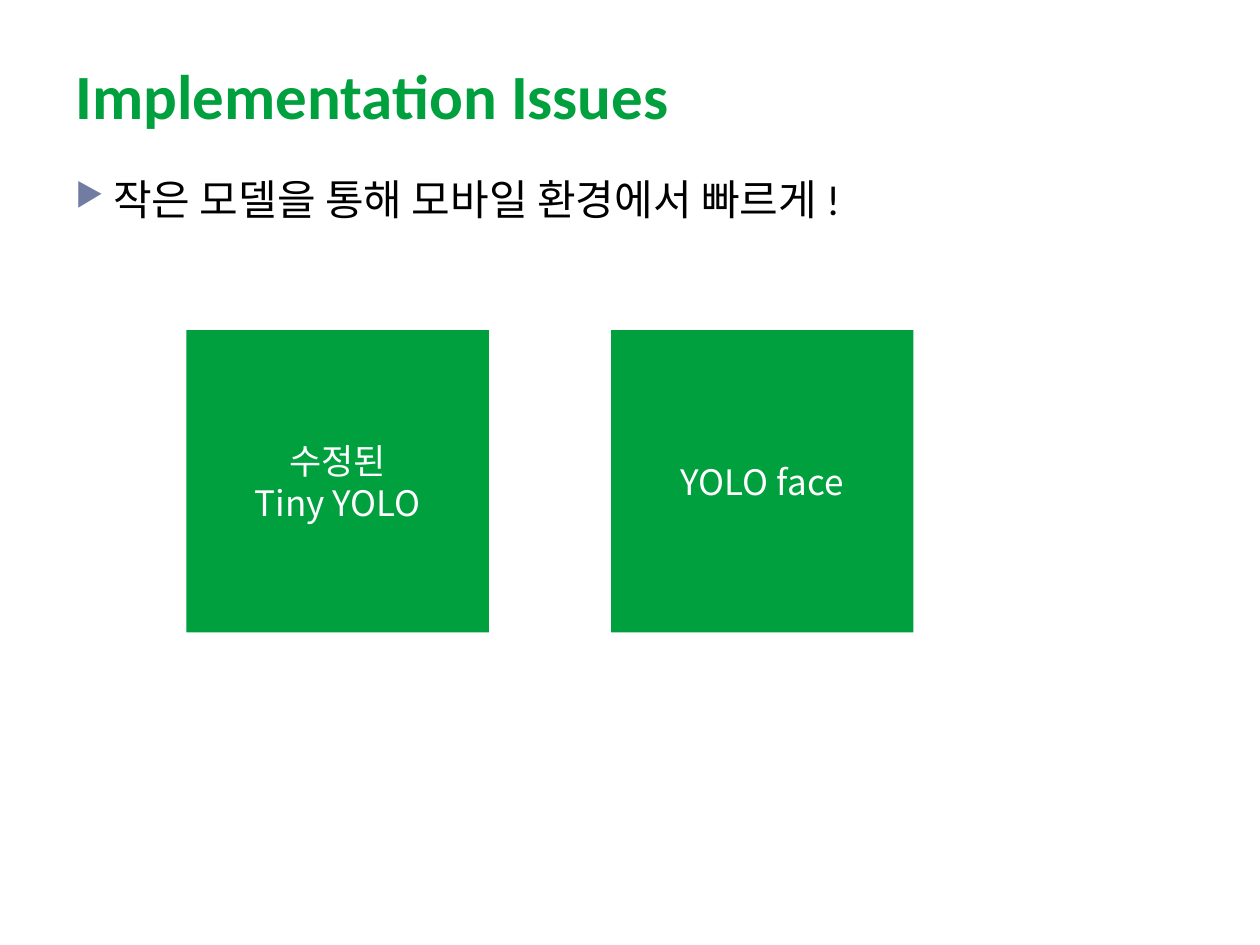
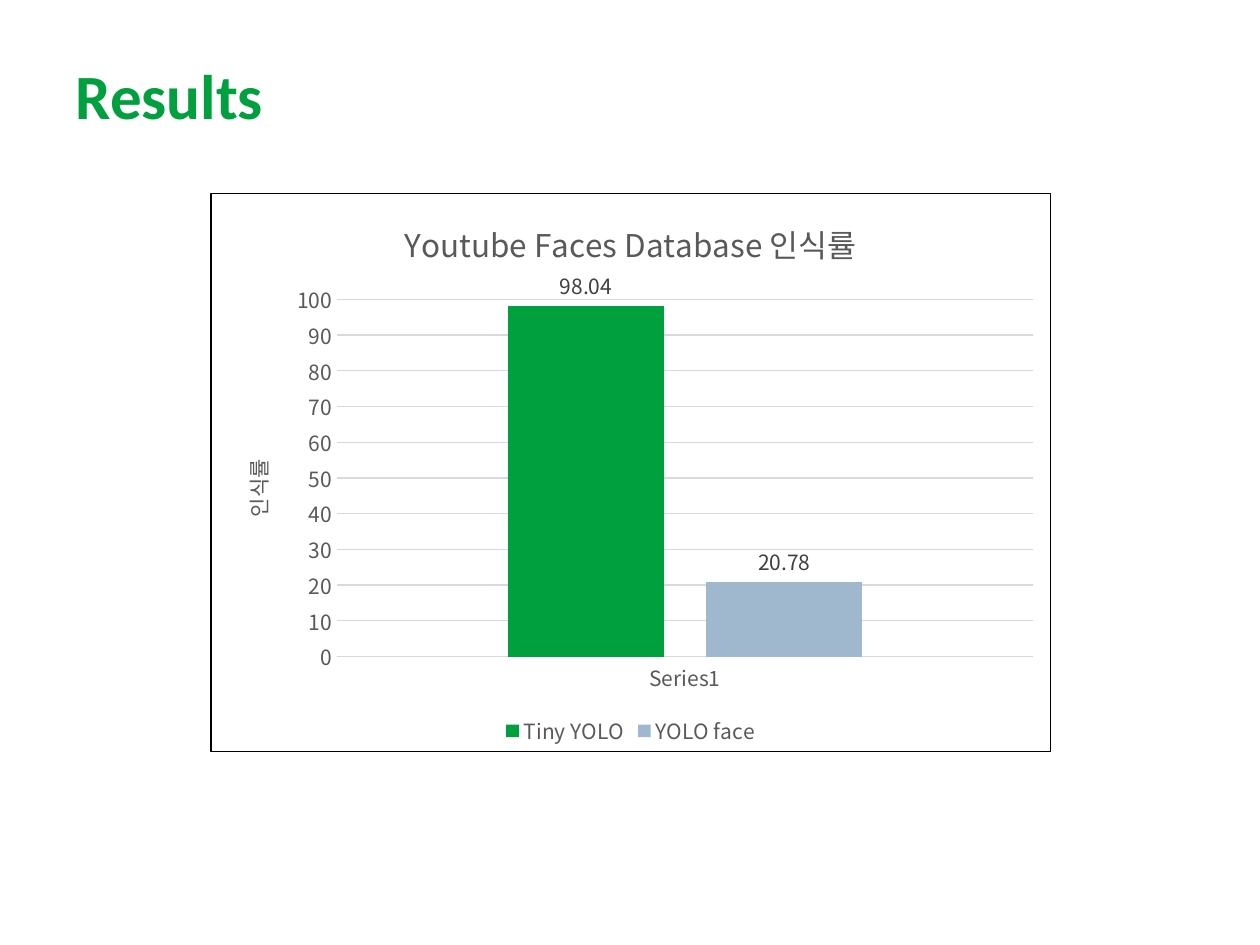
"""Build two slides on face recognition with small models."""
import pptx
import pptx.chart.data
import pptx.dml.color
import pptx.enum.chart
import pptx.enum.shapes
import pptx.enum.text
import pptx.oxml
import pptx.oxml.ns
import pptx.util
from lxml import etree

Inches = pptx.util.Inches
Pt = pptx.util.Pt
qn = pptx.oxml.ns.qn
PP_ALIGN = pptx.enum.text.PP_ALIGN
MSO_ANCHOR = pptx.enum.text.MSO_ANCHOR

COLORS = {
    "green": "00A03E",
    "blue": "9FB8CD",
    "bullet": "727CA3",
    "black": "000000",
    "white": "FFFFFF",
    "axis_text": "595959",
    "label_text": "404040",
    "grid": "D9D9D9",
}
KOREAN_FONT = "Noto Sans CJK KR"
TITLE_FORMAT = {"name": "Calibri", "size": Pt(36), "bold": True}
BODY_FORMAT = {"name": "Calibri", "size": Pt(24), "bold": False}
BOX_FORMAT = {"name": KOREAN_FONT, "size": Pt(20), "bold": False}
CHART_TITLE_FORMAT = {"name": KOREAN_FONT, "size": Pt(18), "bold": False}
CHART_FORMAT = {"name": KOREAN_FONT, "size": Pt(12), "bold": False}


def rgb(color):
    return pptx.dml.color.RGBColor.from_string(COLORS[color])


def format_font(font, values, color):
    for name, value in values.items():
        setattr(font, name, value)
    font.color.rgb = rgb(color)


presentation = pptx.Presentation()
presentation.slide_width = Inches(10)
presentation.slide_height = Inches(7.5)

slides = []
for title_text in ["Implementation Issues", "Results"]:
    slide = presentation.slides.add_slide(presentation.slide_layouts[5])
    title = slide.shapes.title
    title.left, title.top = Inches(0.5), Inches(0.39)
    title.width, title.height = Inches(9), Inches(0.71)
    title.text_frame.text = title_text
    title.text_frame.auto_size = pptx.enum.text.MSO_AUTO_SIZE.NONE
    title.text_frame.vertical_anchor = MSO_ANCHOR.BOTTOM
    paragraph = title.text_frame.paragraphs[0]
    paragraph.alignment = PP_ALIGN.LEFT
    format_font(paragraph.runs[0].font, TITLE_FORMAT, "green")
    slides.append(slide)
issues_slide, results_slide = slides

body = issues_slide.shapes.add_textbox(Inches(0.5), Inches(1.33), Inches(9), Inches(0.78))
body.text_frame.word_wrap = True
paragraph = body.text_frame.paragraphs[0]
properties = paragraph._p.get_or_add_pPr()
properties.set("marL", str(Inches(0.3)))
properties.set("indent", str(Inches(-0.3)))
bullet_color = etree.SubElement(properties, qn("a:buClr"))
etree.SubElement(bullet_color, qn("a:srgbClr"), val=COLORS["bullet"])
etree.SubElement(properties, qn("a:buSzPct"), val="76000")
etree.SubElement(properties, qn("a:buChar"), char="▶")
run = paragraph.add_run()
run.text = "작은 모델을 통해 모바일 환경에서 빠르게 !"
format_font(run.font, BODY_FORMAT, "black")
etree.SubElement(run._r.get_or_add_rPr(), qn("a:ea"), typeface=KOREAN_FONT)

for left, lines in [(1.48, ["수정된", "Tiny YOLO"]), (4.85, ["YOLO face"])]:
    model_box = issues_slide.shapes.add_shape(
        pptx.enum.shapes.MSO_SHAPE.RECTANGLE,
        Inches(left), Inches(2.62), Inches(2.4), Inches(2.4))
    model_box.shadow.inherit = False
    model_box.fill.solid()
    model_box.fill.fore_color.rgb = rgb("green")
    model_box.line.fill.background()
    model_box.text_frame.text = "\n".join(lines)
    model_box.text_frame.vertical_anchor = MSO_ANCHOR.MIDDLE
    for paragraph in model_box.text_frame.paragraphs:
        paragraph.alignment = PP_ALIGN.CENTER
        run = paragraph.runs[0]
        format_font(run.font, BOX_FORMAT, "white")
        etree.SubElement(run._r.get_or_add_rPr(), qn("a:ea"), typeface=KOREAN_FONT)

model_rates = [("Tiny YOLO", 98.04, "green"), ("YOLO face", 20.78, "blue")]
chart_data = pptx.chart.data.CategoryChartData()
chart_data.categories = ["Series1"]
for model, rate, color in model_rates:
    chart_data.add_series(model, [rate])
chart = results_slide.shapes.add_chart(
    pptx.enum.chart.XL_CHART_TYPE.COLUMN_CLUSTERED,
    Inches(1.67), Inches(1.53), Inches(6.67), Inches(4.44), chart_data).chart
format_font(chart.font, CHART_FORMAT, "axis_text")

chart.has_title = True
chart.has_legend = True
chart.legend.position = pptx.enum.chart.XL_LEGEND_POSITION.BOTTOM
chart.legend.include_in_layout = False
format_font(chart.legend.font, CHART_FORMAT, "axis_text")

value_axis = chart.value_axis
value_axis.minimum_scale = 0
value_axis.maximum_scale = 100
value_axis.major_unit = 10
value_axis.has_major_gridlines = True
value_axis.format.line.fill.background()
for line in [value_axis.major_gridlines.format.line, chart.category_axis.format.line]:
    line.color.rgb = rgb("grid")
    line.width = Pt(0.75)
for axis in [value_axis, chart.category_axis]:
    axis.major_tick_mark = pptx.enum.chart.XL_TICK_MARK.NONE
    format_font(axis.tick_labels.font, CHART_FORMAT, "axis_text")

for holder, text, values in [
    (chart.chart_title, "Youtube Faces Database 인식률", CHART_TITLE_FORMAT),
    (value_axis.axis_title, "인식률", CHART_FORMAT),
]:
    holder.text_frame.text = text
    run = holder.text_frame.paragraphs[0].runs[0]
    format_font(run.font, values, "axis_text")
    etree.SubElement(run._r.get_or_add_rPr(), qn("a:ea"), typeface=KOREAN_FONT)
axis_title_body = value_axis.axis_title.text_frame._txBody.find(qn("a:bodyPr"))
axis_title_body.set("rot", "-5400000")
axis_title_body.set("vert", "horz")

plot = chart.plots[0]
plot.gap_width = 219
plot.overlap = -27
plot.vary_by_categories = False
for series, (model, rate, color) in zip(plot.series, model_rates):
    series.format.fill.solid()
    series.format.fill.fore_color.rgb = rgb(color)
    labels = series.data_labels
    labels.show_value = True
    labels.position = pptx.enum.chart.XL_LABEL_POSITION.OUTSIDE_END
    format_font(labels.font, CHART_FORMAT, "label_text")

chart_element = chart._chartSpace.find(qn("c:chart"))
plot_area = chart_element.find(qn("c:plotArea"))
for layout in plot_area.findall(qn("c:layout")):
    plot_area.remove(layout)
layout = etree.Element(qn("c:layout"))
manual_layout = etree.SubElement(layout, qn("c:manualLayout"))
for tag, value in [
    ("layoutTarget", "inner"), ("xMode", "edge"), ("yMode", "edge"),
    ("x", "0.15"), ("y", "0.19"), ("w", "0.83"), ("h", "0.64"),
]:
    etree.SubElement(manual_layout, qn(f"c:{tag}"), val=value)
plot_area.insert(0, layout)

border = etree.Element(qn("c:spPr"))
border_line = etree.SubElement(border, qn("a:ln"), w=str(Pt(0.75)))
border_fill = etree.SubElement(border_line, qn("a:solidFill"))
etree.SubElement(border_fill, qn("a:srgbClr"), val=COLORS["black"])
chart_element.addnext(border)

presentation.save("out.pptx")
